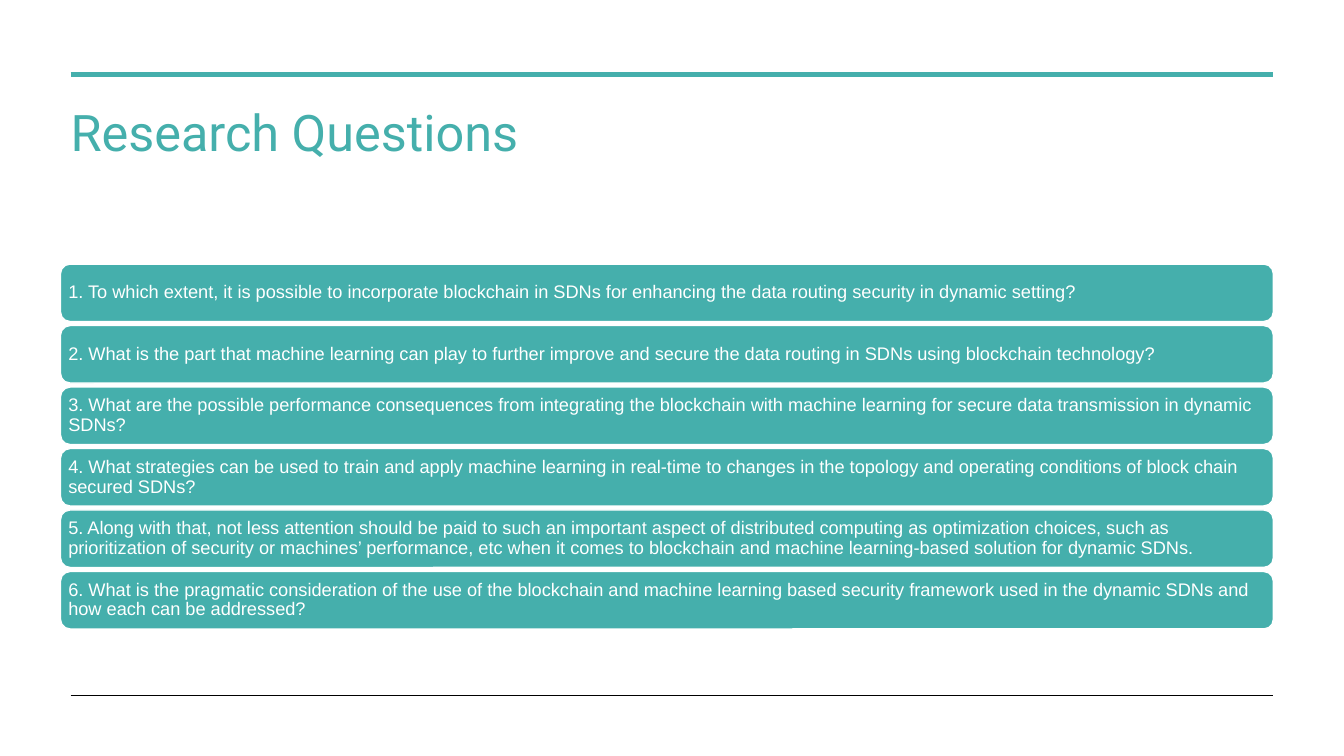
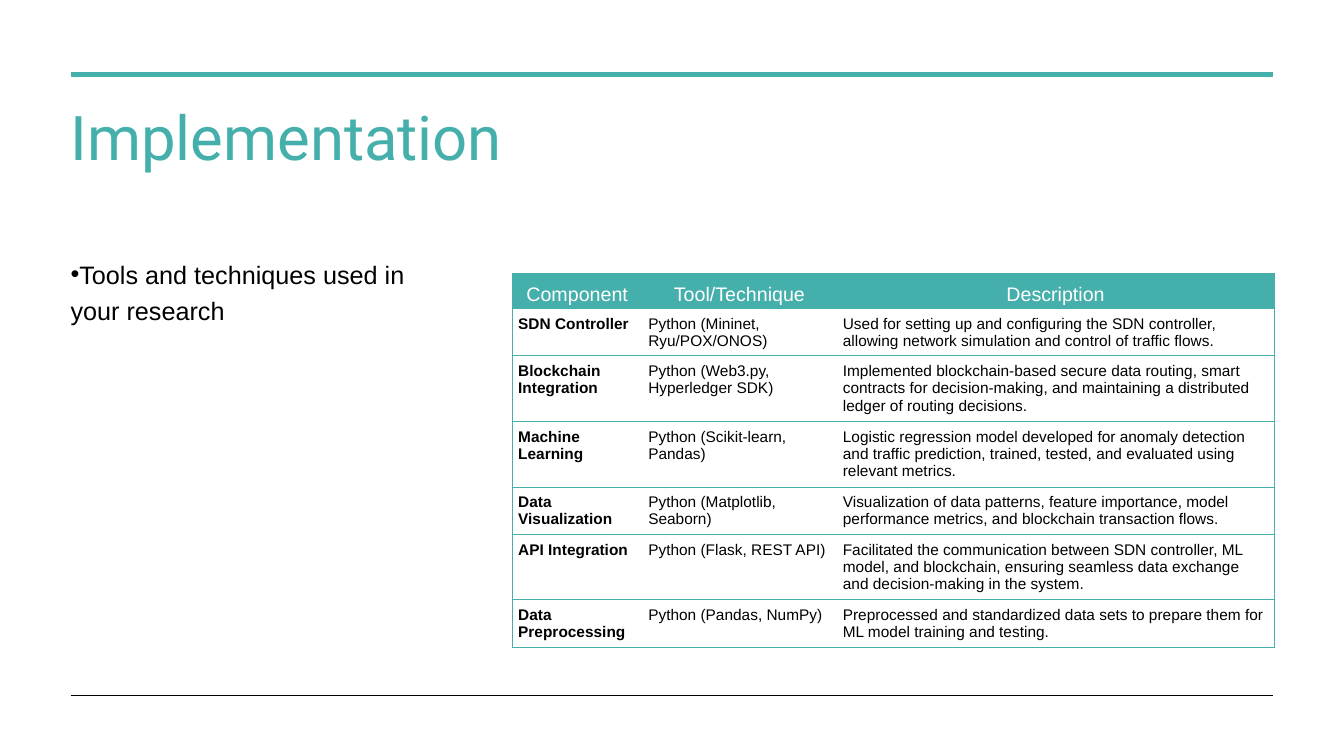
from lxml.etree import SubElement
from pptx import Presentation
from pptx.dml.color import RGBColor
from pptx.enum.shapes import MSO_CONNECTOR, MSO_SHAPE
from pptx.enum.text import MSO_ANCHOR, MSO_AUTO_SIZE, PP_ALIGN
from pptx.oxml.ns import qn
from pptx.util import Emu, Pt

SCALE = 9144
COLORS = {"teal": "45AFAC", "black": "000000", "white": "FFFFFF"}
TITLE_FONT = "Roboto"
BODY_FONT = "Arial"

QUESTIONS = [
    "1. To which extent, it is possible to incorporate blockchain in SDNs for enhancing the data routing security in dynamic setting?",
    "2. What is the part that machine learning can play to further improve and secure the data routing in SDNs using blockchain technology?",
    "3. What are the possible performance consequences from integrating the blockchain with machine learning for secure data transmission in dynamic SDNs?",
    "4. What strategies can be used to train and apply machine learning in real-time to changes in the topology and operating conditions of block chain secured SDNs?",
    "5. Along with that, not less attention should be paid to such an important aspect of distributed computing as optimization choices, such as prioritization of security or machines’ performance, etc when it comes to blockchain and machine learning-based solution for dynamic SDNs.",
    "6. What is the pragmatic consideration of the use of the blockchain and machine learning based security framework used in the dynamic SDNs and how each can be addressed?",
]

TOOLS = [
    ("Component", "Tool/Technique", "Description"),
    ("SDN Controller", "Python (Mininet, Ryu/POX/ONOS)",
     "Used for setting up and configuring the SDN controller, allowing network simulation and control of traffic flows."),
    ("Blockchain Integration", "Python (Web3.py, Hyperledger SDK)",
     "Implemented blockchain-based secure data routing, smart contracts for decision-making, and maintaining a distributed ledger of routing decisions."),
    ("Machine Learning", "Python (Scikit-learn, Pandas)",
     "Logistic regression model developed for anomaly detection and traffic prediction, trained, tested, and evaluated using relevant metrics."),
    ("Data Visualization", "Python (Matplotlib, Seaborn)",
     "Visualization of data patterns, feature importance, model performance metrics, and blockchain transaction flows."),
    ("API Integration", "Python (Flask, REST API)",
     "Facilitated the communication between SDN controller, ML model, and blockchain, ensuring seamless data exchange and decision-making in the system."),
    ("Data Preprocessing", "Python (Pandas, NumPy)",
     "Preprocessed and standardized data sets to prepare them for ML model training and testing."),
]
COLUMNS = [129, 193, 434]
ROWS = [35, 47, 65, 65, 47, 65, 47]


def px(count):
    return Emu(count * SCALE)


def rgb(name):
    return RGBColor.from_string(COLORS[name])


def place(shape, left, top, width, height):
    shape.left, shape.top = px(left), px(top)
    shape.width, shape.height = px(width), px(height)


def write(frame, text, size, color, font=BODY_FONT, bold=False,
          align=PP_ALIGN.LEFT, spacing=1.0, after=0):
    frame.text = text
    para = frame.paragraphs[0]
    para.alignment = align
    para.line_spacing = spacing
    para.space_before = Pt(0)
    para.space_after = Pt(after)
    style = para.runs[0].font
    style.name, style.size, style.bold = font, Pt(size), bold
    style.color.rgb = rgb(color)
    return para


def add_rule(slide, top, color, weight):
    rule = slide.shapes.add_connector(
        MSO_CONNECTOR.STRAIGHT, px(70), px(top), px(1263), px(top))
    rule.line.color.rgb = rgb(color)
    rule.line.width = Pt(weight)
    SubElement(rule.element.spPr, qn("a:effectLst"))


def add_page(deck, layout, title, size):
    slide = deck.slides.add_slide(deck.slide_layouts.get_by_name(layout))
    add_rule(slide, 74, "teal", 3)
    add_rule(slide, 690, "black", 0.5)
    head = slide.shapes.title
    place(head, 60, 104, 1202, 118)
    frame = head.text_frame
    frame.auto_size = MSO_AUTO_SIZE.NONE
    frame.vertical_anchor = MSO_ANCHOR.TOP
    write(frame, title, size, "teal", TITLE_FONT, spacing=0.85)
    return slide


def add_bar(slide, top, text):
    bar = slide.shapes.add_shape(
        MSO_SHAPE.ROUNDED_RECTANGLE, px(60), px(top), px(1203), px(57))
    bar.shadow.inherit = False
    bar.fill.solid()
    bar.fill.fore_color.rgb = rgb("teal")
    bar.line.color.rgb = rgb("white")
    bar.line.width = Pt(1)
    frame = bar.text_frame
    frame.word_wrap = True
    frame.vertical_anchor = MSO_ANCHOR.MIDDLE
    frame.margin_left = frame.margin_right = px(5)
    frame.margin_top = frame.margin_bottom = px(5)
    write(frame, text, 13, "white", spacing=0.9)


def fill_list(slide, text):
    body = slide.placeholders[1]
    place(body, 60, 246, 386, 418)
    frame = body.text_frame
    frame.auto_size = MSO_AUTO_SIZE.NONE
    para = write(frame, text, 18, "black", spacing=1.2, after=6)
    props = para._p.get_or_add_pPr()
    props.set("marL", "0")
    props.set("indent", str(-px(25)))
    SubElement(props, qn("a:buFont"), typeface=BODY_FONT)
    SubElement(props, qn("a:buChar"), char="•")


def set_edges(cell, shown):
    props = cell._tc.get_or_add_tcPr()
    for side in "LRTB":
        edge = SubElement(props, qn(f"a:ln{side}"), w=str(Pt(0.5)))
        if side in shown:
            fill = SubElement(edge, qn("a:solidFill"))
            SubElement(fill, qn("a:srgbClr"), val=COLORS["teal"])
        else:
            SubElement(edge, qn("a:noFill"))


def format_cell(cell, text, row, col):
    header = row == 0
    cell.margin_left = cell.margin_right = px(6)
    cell.margin_top, cell.margin_bottom = px(7), px(0)
    cell.vertical_anchor = MSO_ANCHOR.MIDDLE if header else MSO_ANCHOR.TOP
    set_edges(cell, "TB" + {0: "L", len(COLUMNS) - 1: "R"}.get(col, ""))
    cell.fill.solid()
    cell.fill.fore_color.rgb = rgb("teal" if header else "white")
    if header:
        write(cell.text_frame, text, 14, "white", align=PP_ALIGN.CENTER)
    else:
        write(cell.text_frame, text, 11, "black", bold=col == 0)


def add_grid(slide, left, top):
    grid = slide.shapes.add_table(
        len(ROWS), len(COLUMNS), px(left), px(top),
        px(sum(COLUMNS)), px(sum(ROWS))).table
    grid.horz_banding = False
    for col, width in enumerate(COLUMNS):
        grid.columns[col].width = px(width)
    for row, height in enumerate(ROWS):
        grid.rows[row].height = px(height)
        for col, text in enumerate(TOOLS[row]):
            format_cell(grid.cell(row, col), text, row, col)


def main():
    deck = Presentation()
    deck.slide_width, deck.slide_height = px(1333), px(750)
    asks = add_page(deck, "Title Only", "Research Questions", 36)
    for index, text in enumerate(QUESTIONS):
        add_bar(asks, 262 + 61 * index, text)
    build = add_page(deck, "Title and Content", "Implementation", 44)
    fill_list(build, "Tools and techniques used in your research")
    add_grid(build, 508, 271)
    deck.save("out.pptx")


if __name__ == "__main__":
    main()
